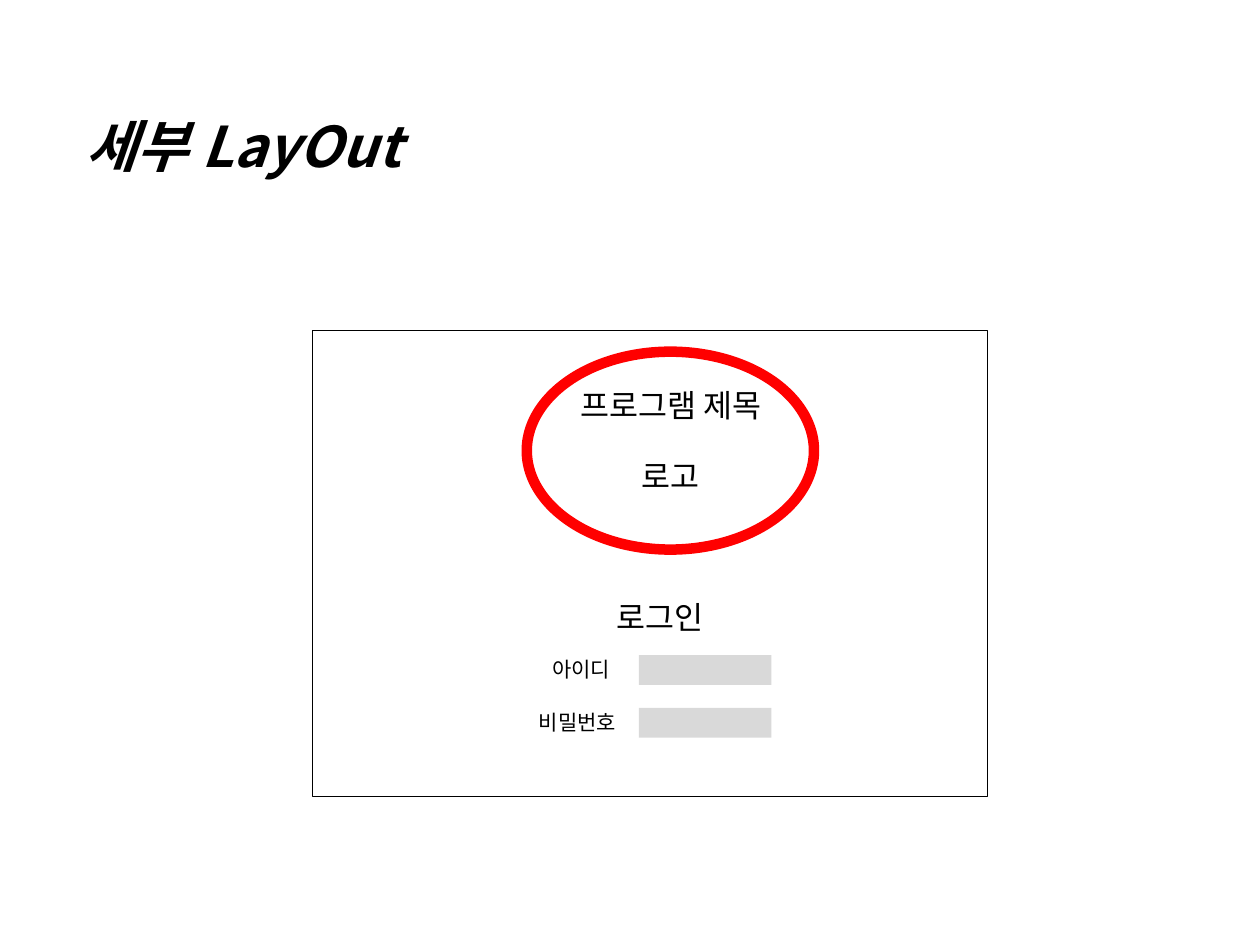
from lxml.etree import SubElement
from pptx import Presentation
from pptx.dml.color import RGBColor
from pptx.enum.shapes import MSO_SHAPE
from pptx.enum.text import MSO_AUTO_SIZE, PP_ALIGN
from pptx.oxml.ns import qn
from pptx.util import Cm, Pt

COLORS = {"text": "000000", "frame": "000000", "highlight": "FF0000", "field": "D9D9D9"}


class LayoutSlide:
    """Draw styled elements on the current slide."""

    font_name = "Noto Sans CJK KR"

    def __init__(self, page):
        self.page = page

    def color(self, name):
        return RGBColor.from_string(COLORS[name])

    def shape(self, kind, left, top, width, height, fill=None, line=None, weight=0):
        shape = self.page.shapes.add_shape(kind, Cm(left), Cm(top), Cm(width), Cm(height))
        shape.shadow.inherit = False
        if fill:
            shape.fill.solid()
            shape.fill.fore_color.rgb = self.color(fill)
        else:
            shape.fill.background()
        if line:
            shape.line.color.rgb = self.color(line)
            shape.line.width = Pt(weight)
        else:
            shape.line.fill.background()

    def text(self, words, left, top, width, height, size, align=PP_ALIGN.CENTER, strong=False):
        box = self.page.shapes.add_textbox(Cm(left), Cm(top), Cm(width), Cm(height))
        frame = box.text_frame
        frame.word_wrap = False
        frame.auto_size = MSO_AUTO_SIZE.SHAPE_TO_FIT_TEXT
        frame.text = words
        para = frame.paragraphs[0]
        para.alignment = align
        span = para.runs[0]
        span.font.size = Pt(size)
        span.font.bold = strong
        span.font.italic = strong
        span.font.color.rgb = self.color("text")
        span.font.name = self.font_name
        SubElement(span._r.get_or_add_rPr(), qn("a:ea"), typeface=self.font_name)

    def login_field(self, label, left, top, width):
        self.text(label, left, top, width, 0.76, 12)
        self.shape(MSO_SHAPE.RECTANGLE, 12.88, top + 0.1, 2.67, 0.6, fill="field")


def main():
    deck = Presentation()
    deck.slide_width, deck.slide_height = Cm(25.4), Cm(19.05)
    layout = LayoutSlide(deck.slides.add_slide(deck.slide_layouts[6]))

    layout.login_field("아이디", 10.82, 13.11, 1.8)
    layout.login_field("비밀번호", 10.52, 14.17, 2.24)
    layout.text("로그인", 12.09, 11.94, 2.44, 1.02, 18)
    layout.text("로고", 12.62, 9.09, 1.8, 1.02, 18)
    layout.shape(MSO_SHAPE.OVAL, 10.62, 7.09, 5.79, 3.99, line="highlight", weight=6)
    layout.shape(MSO_SHAPE.RECTANGLE, 6.3, 6.65, 13.61, 9.4, line="frame", weight=0.25)
    layout.text("프로그램 제목", 11.23, 7.65, 4.6, 1.02, 18)
    layout.text("세부 LayOut", 1.47, 2.13, 7.42, 1.63, 32, PP_ALIGN.LEFT, strong=True)

    deck.save("out.pptx")


if __name__ == "__main__":
    main()
